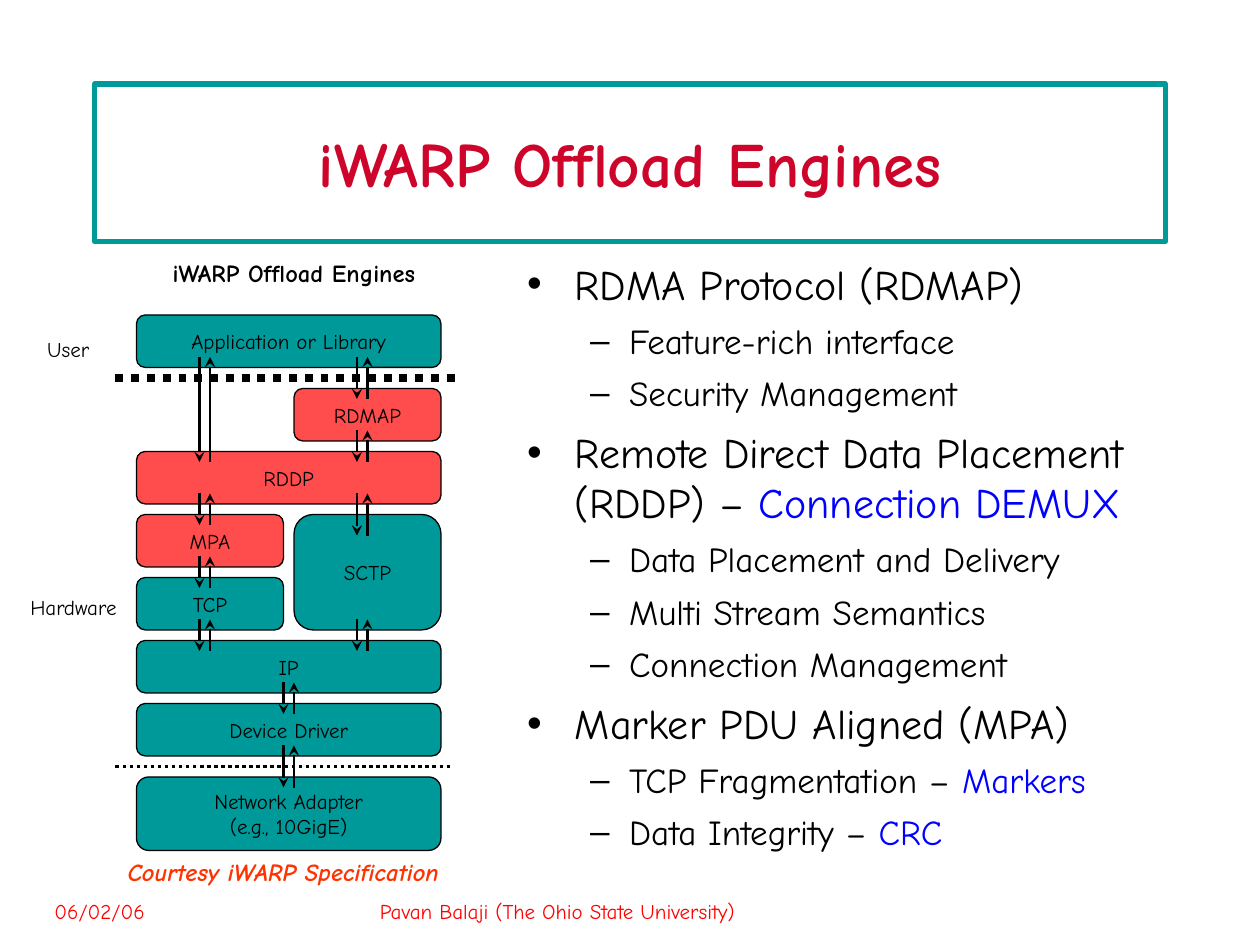
from dataclasses import dataclass
from typing import NamedTuple

import lxml.etree
import pptx
import pptx.dml.color
import pptx.enum.dml
import pptx.enum.shapes
import pptx.enum.text
import pptx.oxml.ns
import pptx.util

ALIGN = pptx.enum.text.PP_ALIGN
ANCHOR = pptx.enum.text.MSO_ANCHOR


@dataclass(frozen=True)
class Theme:
    """Colours, font and type sizes of the slide."""
    font: str = "Comic Neue"
    white: str = "FFFFFF"
    black: str = "000000"
    teal: str = "009999"
    red: str = "FF0000"
    crimson: str = "CD052B"
    orange: str = "FF3300"
    blue: str = "0000FF"
    title: int = 36
    topic: int = 24
    detail: int = 20
    caption: int = 14
    label: int = 12


THEME = Theme()


class Area(NamedTuple):
    """A rectangle in twelfths of an inch."""
    left: float
    top: float
    width: float
    height: float


class Layer(NamedTuple):
    """A box of the protocol stack."""
    lines: tuple[str, ...]
    area: Area
    offloaded: bool = False


class Label(NamedTuple):
    """A free text beside the stack or at the foot."""
    text: str
    area: Area
    color: str = THEME.black
    size: int = THEME.label
    bold: bool = False
    italic: bool = False
    align: ALIGN = ALIGN.CENTER


class Exchange(NamedTuple):
    """A downward arrow with an upward arrow on its right."""
    left: float
    top: float
    bottom: float


class Bullet(NamedTuple):
    """A list entry with an optional highlighted ending."""
    level: int
    text: str
    highlight: str = ""


LAYERS = (
    Layer(("Application or Library",), Area(13, 30, 29, 5)),
    Layer(("RDMAP",), Area(28, 37, 14, 5), True),
    Layer(("RDDP",), Area(13, 43, 29, 5), True),
    Layer(("MPA",), Area(13, 49, 14, 5), True),
    Layer(("SCTP",), Area(28, 49, 14, 11)),
    Layer(("TCP",), Area(13, 55, 14, 5)),
    Layer(("IP",), Area(13, 61, 29, 5)),
    Layer(("Device Driver",), Area(13, 67, 29, 5)),
    Layer(("Network Adapter", "(e.g., 10GigE)"), Area(13, 74, 29, 7)),
)
LABELS = (
    Label("06/02/06", Area(4, 85, 28, 4), THEME.red, align=ALIGN.LEFT),
    Label("Pavan Balaji (The Ohio State University)", Area(35, 85, 50, 4),
          THEME.red, align=ALIGN.LEFT),
    Label("Hardware", Area(1, 56, 12, 3.6)),
    Label("User", Area(3, 31.5, 7, 3.6)),
    Label("iWARP Offload Engines", Area(12, 24, 32, 4), size=THEME.caption, bold=True),
    Label("Courtesy iWARP Specification", Area(6, 81, 42, 4), THEME.orange,
          THEME.caption, True, True),
)
EXCHANGES = (
    Exchange(19, 34, 44), Exchange(19, 47, 50), Exchange(19, 53, 56), Exchange(19, 59, 62),
    Exchange(34, 34, 38), Exchange(34, 41, 44), Exchange(34, 47, 51), Exchange(34, 59, 62),
    Exchange(27, 65, 68), Exchange(27, 71, 75),
)
BULLETS = (
    Bullet(0, "RDMA Protocol (RDMAP)"),
    Bullet(1, "Feature-rich interface"),
    Bullet(1, "Security Management"),
    Bullet(0, "Remote Direct Data Placement (RDDP) – ", "Connection DEMUX"),
    Bullet(1, "Data Placement and Delivery"),
    Bullet(1, "Multi Stream Semantics"),
    Bullet(1, "Connection Management"),
    Bullet(0, "Marker PDU Aligned (MPA)"),
    Bullet(1, "TCP Fragmentation – ", "Markers"),
    Bullet(1, "Data Integrity – ", "CRC"),
)


def grid(units: float) -> int:
    """Turn twelfths of an inch into a length."""
    return pptx.util.Inches(units / 12)


def rgb(color: str) -> pptx.dml.color.RGBColor:
    """Return a colour from its hexadecimal name."""
    return pptx.dml.color.RGBColor.from_string(color)


def add_element(parent, tag: str, **attributes: str):
    """Append a drawing element to a parent."""
    return lxml.etree.SubElement(parent, pptx.oxml.ns.qn(tag), attributes)


def place(shape, area: Area) -> None:
    """Move and size a shape."""
    shape.left, shape.top, shape.width, shape.height = map(grid, area)


def add_run(paragraph, text: str, size: int, color: str,
            bold: bool = False, italic: bool = False) -> None:
    """Add one formatted run."""
    run = paragraph.add_run()
    run.text = text
    run.font.name = THEME.font
    run.font.size = pptx.util.Pt(size)
    run.font.bold, run.font.italic = bold, italic
    run.font.color.rgb = rgb(color)


def add_layer(slide, layer: Layer) -> None:
    """Draw one box of the stack."""
    shape = slide.shapes.add_shape(
        pptx.enum.shapes.MSO_SHAPE.ROUNDED_RECTANGLE, *map(grid, layer.area))
    shape.shadow.inherit = False
    shape.fill.solid()
    shape.fill.fore_color.rgb = rgb(THEME.red if layer.offloaded else THEME.teal)
    if layer.offloaded:
        color = shape._element.spPr.find(".//" + pptx.oxml.ns.qn("a:srgbClr"))
        add_element(color, "a:alpha", val="70000")
    shape.line.color.rgb = rgb(THEME.black)
    shape.line.width = pptx.util.Pt(0.75)
    frame = shape.text_frame
    frame.word_wrap = False
    frame.vertical_anchor = ANCHOR.MIDDLE
    for index, text in enumerate(layer.lines):
        paragraph = frame.add_paragraph() if index else frame.paragraphs[0]
        paragraph.alignment = ALIGN.CENTER
        add_run(paragraph, text, THEME.label, THEME.black)


def add_label(slide, label: Label) -> None:
    """Write one free text."""
    frame = slide.shapes.add_textbox(*map(grid, label.area)).text_frame
    frame.word_wrap = True
    paragraph = frame.paragraphs[0]
    paragraph.alignment = label.align
    add_run(paragraph, label.text, label.size, label.color, label.bold, label.italic)


def add_line(slide, start: tuple[float, float], end: tuple[float, float], width: float):
    """Draw a plain black line."""
    line = slide.shapes.add_connector(
        pptx.enum.shapes.MSO_CONNECTOR.STRAIGHT, *map(grid, start + end))
    line.line.color.rgb = rgb(THEME.black)
    line.line.width = pptx.util.Pt(width)
    add_element(line._element.spPr, "a:effectLst")
    return line


def add_divider(slide, top: float, right: float, width: float) -> None:
    """Draw a dotted boundary across the stack."""
    divider = add_line(slide, (11, top), (right, top), width)
    divider.line.dash_style = pptx.enum.dml.MSO_LINE.ROUND_DOT


def add_exchange(slide, exchange: Exchange) -> None:
    """Draw the arrow down and the arrow up."""
    left, top, bottom = exchange
    for start, end in (((left, top), (left, bottom)), ((left + 1, bottom), (left + 1, top))):
        arrow = add_line(slide, start, end, 1.5)
        add_element(arrow.line._get_or_add_ln(), "a:tailEnd", type="stealth")


def fill_title(title) -> None:
    """Format the title placeholder."""
    place(title, Area(9, 8, 102, 15))
    title.fill.solid()
    title.fill.fore_color.rgb = rgb(THEME.white)
    title.line.color.rgb = rgb(THEME.teal)
    title.line.width = pptx.util.Pt(3)
    title.text_frame.vertical_anchor = ANCHOR.MIDDLE
    paragraph = title.text_frame.paragraphs[0]
    paragraph.alignment = ALIGN.CENTER
    add_run(paragraph, "iWARP Offload Engines", THEME.title, THEME.crimson, bold=True)


def fill_body(body) -> None:
    """Write the bullet list into the body placeholder."""
    place(body, Area(49, 24, 68, 62))
    frame = body.text_frame
    frame.auto_size = pptx.enum.text.MSO_AUTO_SIZE.NONE
    styles = (("•", 0.38, 0.38, THEME.topic), ("–", 0.81, 0.31, THEME.detail))
    for index, bullet in enumerate(BULLETS):
        mark, margin, hanging, size = styles[bullet.level]
        paragraph = frame.add_paragraph() if index else frame.paragraphs[0]
        paragraph.level = bullet.level
        properties = paragraph._p.get_or_add_pPr()
        properties.set("marL", str(pptx.util.Inches(margin)))
        properties.set("indent", str(-pptx.util.Inches(hanging)))
        add_element(properties, "a:buChar", char=mark)
        paragraph.space_before = pptx.util.Pt(0.3 * size if index else 0)
        add_run(paragraph, bullet.text, size, THEME.black)
        if bullet.highlight:
            add_run(paragraph, bullet.highlight, size, THEME.blue)


def main() -> None:
    """Build and save the slide."""
    presentation = pptx.Presentation()
    presentation.slide_width = pptx.util.Inches(10)
    presentation.slide_height = pptx.util.Inches(7.5)
    slide = presentation.slides.add_slide(presentation.slide_layouts[1])
    fill_title(slide.shapes.title)
    fill_body(slide.placeholders[1])
    for layer in LAYERS:
        add_layer(slide, layer)
    add_divider(slide, 36, 44, 4.5)
    add_divider(slide, 73, 43, 2)
    for exchange in EXCHANGES:
        add_exchange(slide, exchange)
    for label in LABELS:
        add_label(slide, label)
    presentation.save("out.pptx")


if __name__ == "__main__":
    main()
